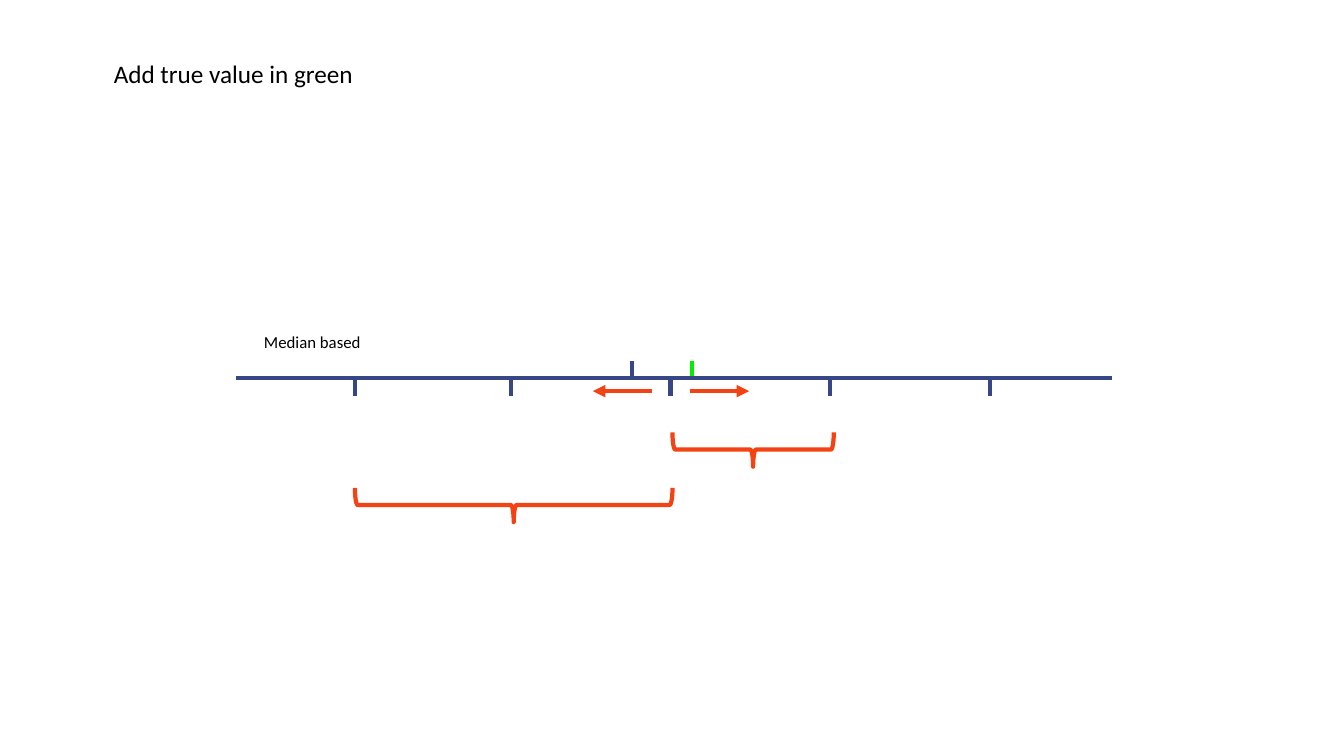
from pptx import Presentation
from pptx.dml.color import RGBColor
from pptx.enum import shapes, text
from pptx.oxml.ns import qn
from pptx.util import Inches, Pt
from lxml import etree

BLACK = RGBColor(0x00, 0x00, 0x00)
NAVY = RGBColor(0x37, 0x47, 0x85)
GREEN = RGBColor(0x00, 0xEE, 0x00)
ORANGE = RGBColor(0xF3, 0x42, 0x13)

# text, left, top, width, height, size, wrap
LABELS = [
    ("Add true value in green", 1.03, 0.53, 2.61, 0.4, 18, False),
    ("Median based", 2.52, 3.24, 1.37, 0.3, 12, True),
]
AXIS = (2.34, 11.03, 3.75)  # from x, to x, y
TICK_LENGTH = 0.19
UPPER_TOP, LOWER_TOP = 3.58, 3.74
TRUE_VALUE = 6.86
ESTIMATE = 6.27
SCALE_TICKS = [3.52, 5.07, 6.65, 8.23, 9.82]
ARROWS = [(6.47, 5.88), (6.84, 7.43)]  # from x, to x
ARROW_Y = 3.88
BRACES = [(6.67, 8.27, 4.29), (3.52, 6.67, 4.84)]  # left, right, top
BRACE_DEPTH = 0.34


def add_line(s, x1, y1, x2, y2, color, arrow=False):
    c = s.shapes.add_connector(shapes.MSO_CONNECTOR.STRAIGHT,
                               Inches(x1), Inches(y1), Inches(x2), Inches(y2))
    c.line.color.rgb = color
    c.line.width = Pt(3)
    if arrow:
        etree.SubElement(c.line._get_or_add_ln(), qn("a:tailEnd"), type="triangle")
    etree.SubElement(c._element.spPr, qn("a:effectLst"))


def add_tick(s, x, top, color=NAVY):
    add_line(s, x, top, x, top + TICK_LENGTH, color)


def add_brace(s, left, right, top):
    """Add a brace that opens upwards: a left brace turned about its centre."""
    span = right - left
    x = (left + right - BRACE_DEPTH) / 2
    y = top + (BRACE_DEPTH - span) / 2
    sp = s.shapes.add_shape(shapes.MSO_SHAPE.LEFT_BRACE, Inches(x), Inches(y),
                            Inches(BRACE_DEPTH), Inches(span))
    sp.rotation = 270
    sp.shadow.inherit = False
    sp.fill.background()
    sp.line.color.rgb = ORANGE
    sp.line.width = Pt(3)


def add_label(s, label, left, top, width, height, size, wrap):
    box = s.shapes.add_textbox(Inches(left), Inches(top), Inches(width), Inches(height))
    tf = box.text_frame
    tf.word_wrap = wrap
    tf.auto_size = text.MSO_AUTO_SIZE.SHAPE_TO_FIT_TEXT
    r = tf.paragraphs[0].add_run()
    r.text = label
    for name, value in {"name": "Calibri", "size": Pt(size)}.items():
        setattr(r.font, name, value)
    r.font.color.rgb = BLACK


def main():
    prs = Presentation()
    prs.slide_width, prs.slide_height = Inches(13.33), Inches(7.5)
    s = prs.slides.add_slide(prs.slide_layouts[6])

    add_tick(s, TRUE_VALUE, UPPER_TOP, GREEN)
    for x in SCALE_TICKS:
        add_tick(s, x, LOWER_TOP)
    start, end, y = AXIS
    add_line(s, start, y, end, y, NAVY)
    for brace in BRACES:
        add_brace(s, *brace)
    for x1, x2 in ARROWS:
        add_line(s, x1, ARROW_Y, x2, ARROW_Y, ORANGE, arrow=True)
    add_tick(s, ESTIMATE, UPPER_TOP)
    for label in LABELS:
        add_label(s, *label)

    prs.save("out.pptx")


if __name__ == "__main__":
    main()
